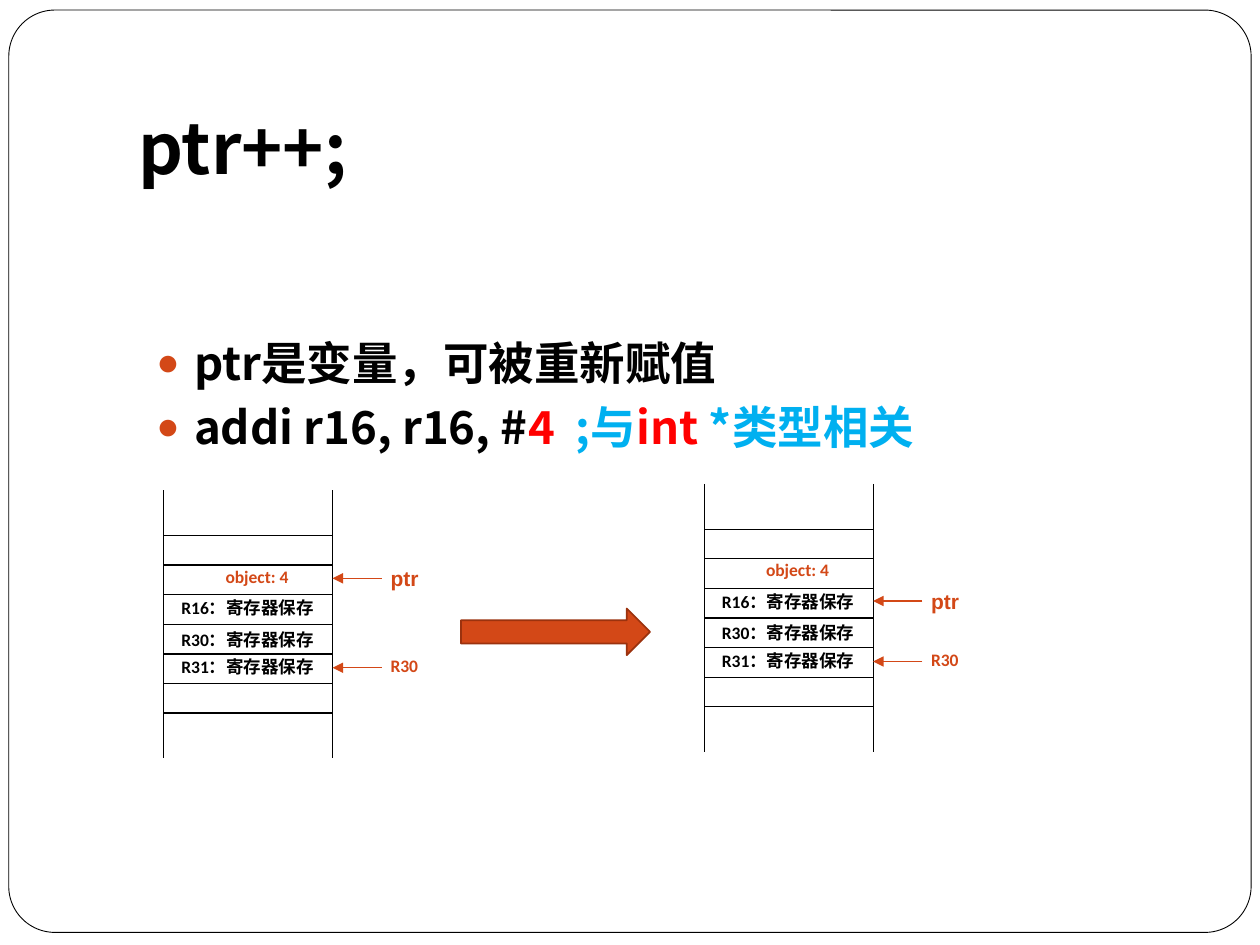
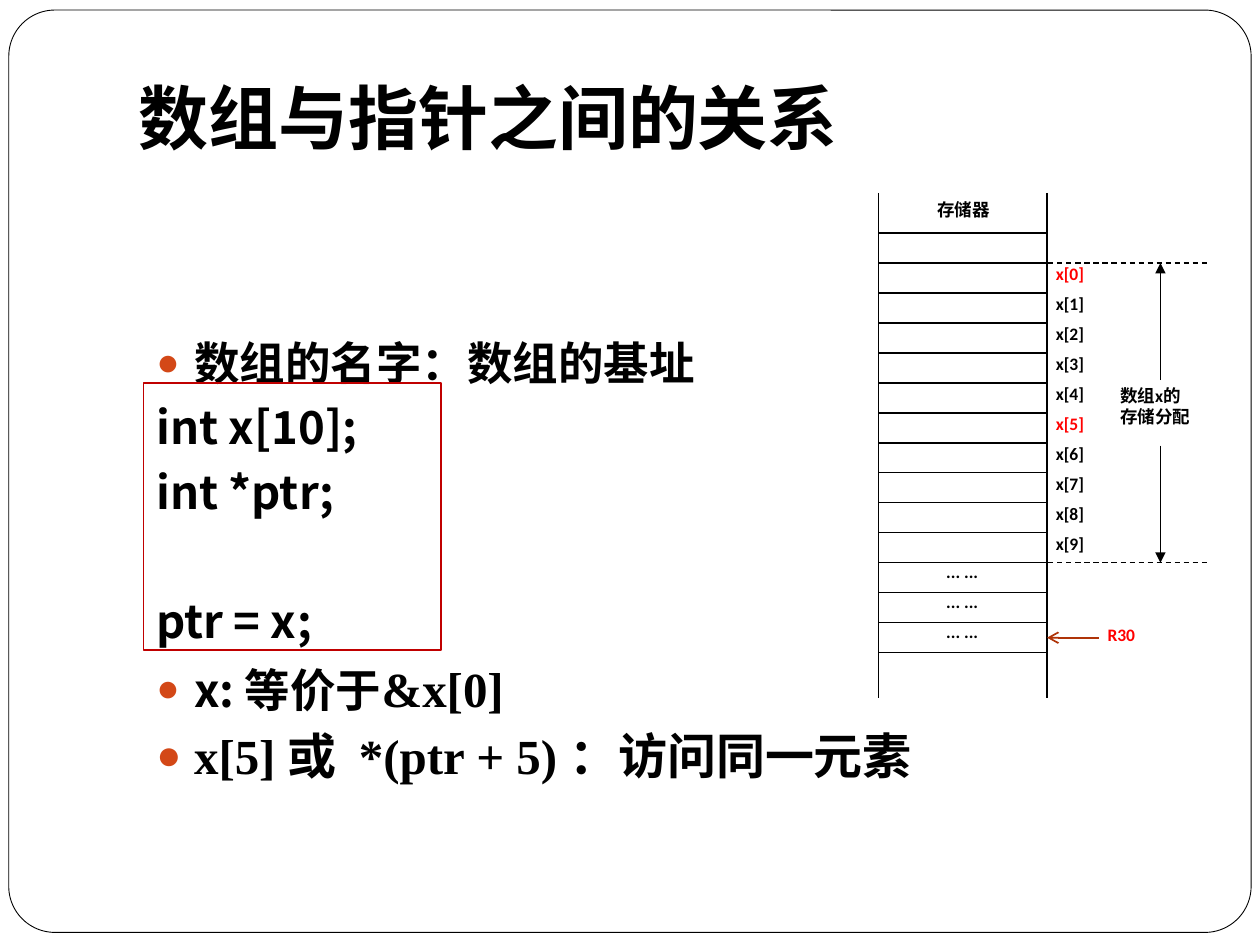
from lxml.etree import SubElement
from pptx import Presentation
from pptx.dml.color import RGBColor
from pptx.enum.dml import MSO_LINE
from pptx.enum.shapes import MSO_CONNECTOR, MSO_SHAPE
from pptx.enum.text import MSO_ANCHOR, MSO_AUTO_SIZE, PP_ALIGN
from pptx.oxml.ns import qn
from pptx.util import Inches, Pt

COLORS = {"ink": "000000", "paper": "FFFFFF", "accent": "D34817", "accent_edge": "9B320E",
          "red": "FF0000", "sky": "00B0F0", "code_edge": "C00000", "pointer": "AF3408"}
CJK, LATIN, SERIF = "Noto Sans CJK SC", "Calibri", "Times New Roman"
BODY = {"size": 26, "font": CJK, "color": "ink"}
SERIF_RUN = {"size": 28, "font": SERIF}

PTR_TITLE = "ptr++;"
PTR_BODY = [
    (True, 0, [("ptr是变量，可被重新赋值", {})]),
    (True, 5.8, [("addi r16, r16, #", {}), ("4  ", {"color": "red"}), (";与", {"color": "sky"}),
                 ("int ", {"color": "red"}), ("*类型相关", {"color": "sky"})]),
]
ARRAY_TITLE = "数组与指针之间的关系"
ARRAY_BODY = [
    (True, 0, [("数组的名字：数组的基址", {})]),
    (False, 5.8, [("int x[10];", {})]),
    (False, 5.8, [("int *ptr;", {})]),
    (False, 42.6, [("ptr = x;", {})]),
    (True, 9, [("x: 等价于", {}), ("&x[0]", SERIF_RUN)]),
    (True, 7.3, [("x[5] 或  *(ptr + 5) ：访问同一元素", SERIF_RUN)]),
]
SAVED = [("R16：寄存器保存", 0.48), ("R30：寄存器保存", 0.73), ("R31：寄存器保存", 0.95)]
STACKS = [{"left": 1.3, "top": 4.25, "ptr": 0.34}, {"left": 5.59, "top": 4.2, "ptr": 0.57}]
STACK_ROWS, ARRAY_ROWS = 6, 14
STACK_ROW, ARRAY_ROW = 1.41 / STACK_ROWS, 3.33 / ARRAY_ROWS
COLUMN_W = 1.34
MEMORY = {"left": 6.97, "top": 1.85}
HOT = (0, 5)


def rgb(name):
    return RGBColor.from_string(COLORS[name])


def assign(target, values):
    for key, value in values.items():
        setattr(target, key, value)


def write(p, text, size, font, color):
    r = p.add_run()
    r.text = text
    assign(r.font, {"size": Pt(size), "name": font, "bold": True})
    r.font.color.rgb = rgb(color)
    SubElement(r.font._element, qn("a:ea"), typeface=CJK)


def bullet(p, shown):
    pPr = p._p.get_or_add_pPr()
    pPr.set("marL", str(Inches(0.3)))
    pPr.set("indent", str(Inches(-0.3)))
    if not shown:
        SubElement(pPr, qn("a:buNone"))
        return
    SubElement(SubElement(pPr, qn("a:buClr")), qn("a:srgbClr"), val=COLORS["accent"])
    SubElement(pPr, qn("a:buSzPct"), val="85000")
    SubElement(pPr, qn("a:buFont"), typeface="Arial")
    SubElement(pPr, qn("a:buChar"), char="●")


def place(sp, left, top, width, height):
    assign(sp, {"left": Inches(left), "top": Inches(top),
                "width": Inches(width), "height": Inches(height)})


def shape(s, kind, box, fill, edge, width):
    sp = s.shapes.add_shape(kind, *map(Inches, box))
    sp.shadow.inherit = False
    if fill:
        sp.fill.solid()
        sp.fill.fore_color.rgb = rgb(fill)
    else:
        sp.fill.background()
    sp.line.color.rgb = rgb(edge)
    sp.line.width = Pt(width)
    return sp


def line(s, start, end, color="ink", width=0.75, tip=None, dash=False):
    c = s.shapes.add_connector(MSO_CONNECTOR.STRAIGHT, *map(Inches, (*start, *end)))
    c.line.color.rgb = rgb(color)
    c.line.width = Pt(width)
    if dash:
        c.line.dash_style = MSO_LINE.DASH
    if tip:
        SubElement(c.line._get_or_add_ln(), qn("a:tailEnd"), type=tip)
    SubElement(c._element.spPr, qn("a:effectLst"))


def label(s, lines, left, top, width, color="ink", size=10, font=LATIN):
    sp = s.shapes.add_textbox(*map(Inches, (left, top, width, 0.25 * len(lines))))
    tf = sp.text_frame
    assign(tf, {"word_wrap": True, "margin_left": Inches(0.02), "margin_right": Inches(0.02),
                "margin_top": Inches(0.01), "margin_bottom": Inches(0.01)})
    for i, text in enumerate(lines):
        p = tf.add_paragraph() if i else tf.paragraphs[0]
        assign(p, {"alignment": PP_ALIGN.JUSTIFY, "line_spacing": Pt(1.2 * size)})
        write(p, text, size, font, color)


def column(s, left, top, rows, pitch, head, foot):
    right, bottom = left + COLUMN_W, top + rows * pitch
    for x in (left, right):
        line(s, (x, top - head), (x, bottom + foot))
    for i in range(rows + 1):
        y = top + i * pitch
        line(s, (left, y), (right, y))


def new_slide(prs, title, body, anchor):
    s = prs.slides.add_slide(prs.slide_layouts[1])
    frame = shape(s, MSO_SHAPE.ROUNDED_RECTANGLE, (0.07, 0.08, 9.86, 7.32), "paper", "ink", 0.5)
    frame.adjustments[0] = 0.05
    s.shapes._spTree.insert(2, frame._element)

    sp = s.shapes.title
    place(sp, 1, 0.3, 8.5, 1.25)
    tf = sp.text_frame
    assign(tf, {"vertical_anchor": anchor, "auto_size": MSO_AUTO_SIZE.NONE, "word_wrap": True})
    tf.paragraphs[0].alignment = PP_ALIGN.LEFT
    write(tf.paragraphs[0], title, 40, CJK, "ink")

    sp = s.placeholders[1]
    place(sp, 1.14, 2.61, 7.8, 4.29)
    tf = sp.text_frame
    assign(tf, {"auto_size": MSO_AUTO_SIZE.NONE, "word_wrap": True})
    for i, (shown, before, runs) in enumerate(body):
        p = tf.add_paragraph() if i else tf.paragraphs[0]
        bullet(p, shown)
        assign(p, {"line_spacing": Pt(31), "space_before": Pt(before)})
        for text, style in runs:
            write(p, text, **{**BODY, **style})
    return s


def draw_stack(s, left, top, ptr):
    right = left + COLUMN_W
    column(s, left, top, STACK_ROWS, STACK_ROW, 0.36, 0.36)
    label(s, ["object: 4"], left + 0.47, top + 0.23, 0.86, "accent")
    for text, offset in SAVED:
        label(s, [text], left + 0.12, top + offset, 1.15)
    for text, offset, size, font in (("ptr", ptr, 12, "Arial"), ("R30", 1.05, 10, LATIN)):
        y = top + offset
        line(s, (right + 0.39, y), (right, y), "accent", tip="triangle")
        label(s, [text], right + 0.44, y - 0.11, 0.3, "accent", size, font)


def draw_memory(s, left, top):
    right = left + COLUMN_W

    def row_y(row):
        return top + row * ARRAY_ROW

    column(s, left, top, ARRAY_ROWS, ARRAY_ROW, 0.32, 0.36)
    label(s, ["存储器"], left + 0.45, top - 0.28, 0.49)
    for i in range(10):
        label(s, [f"x[{i}]"], right + 0.05, row_y(i + 1) - 0.01, 0.53, "red" if i in HOT else "ink")
    for row in (11, 12, 13):
        label(s, ["... ..."], left + 0.52, row_y(row) - 0.02, 0.53)

    first, last, span_x = row_y(1), row_y(11), right + 0.9
    for y in (first, last):
        line(s, (right + 0.01, y), (right + 1.28, y), dash=True)
    line(s, (span_x, first + 0.93), (span_x, first), tip="triangle")
    line(s, (span_x, last - 0.93), (span_x, last), tip="triangle")
    label(s, ["数组x的", "存储分配"], right + 0.56, 3.05, 0.82)

    y = row_y(13.5)
    line(s, (right + 0.41, y), (right, y), "pointer", 1, "arrow")
    label(s, ["R30"], right + 0.46, y - 0.12, 0.53, "red")


def main():
    prs = Presentation()
    prs.slide_width, prs.slide_height = Inches(10), Inches(7.5)

    s = new_slide(prs, PTR_TITLE, PTR_BODY, MSO_ANCHOR.BOTTOM)
    shape(s, MSO_SHAPE.RIGHT_ARROW, (3.66, 4.83, 1.5, 0.37), "accent", "accent_edge", 1)
    for stack in STACKS:
        draw_stack(s, **stack)

    s = new_slide(prs, ARRAY_TITLE, ARRAY_BODY, MSO_ANCHOR.MIDDLE)
    shape(s, MSO_SHAPE.RECTANGLE, (1.14, 3.04, 2.36, 2.12), None, "code_edge", 1)
    draw_memory(s, **MEMORY)

    prs.save("out.pptx")


if __name__ == "__main__":
    main()
